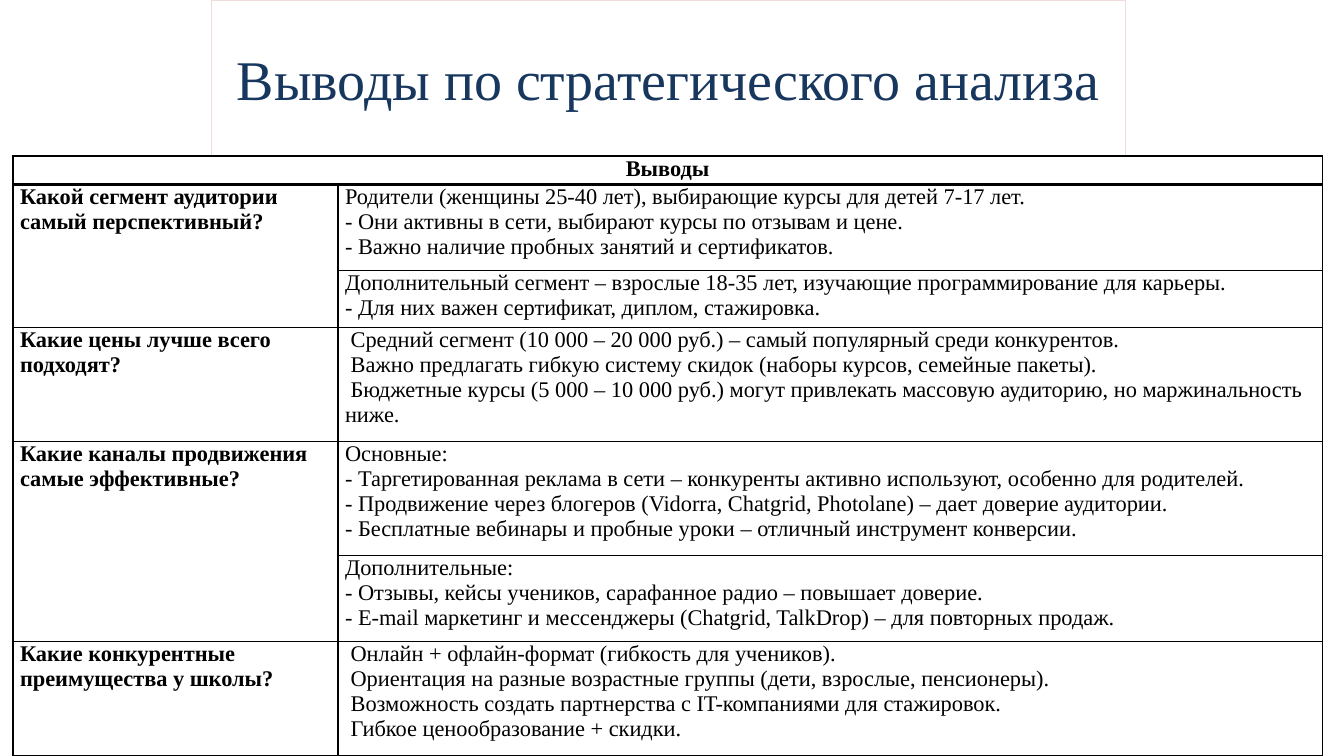
from copy import deepcopy
from dataclasses import dataclass
from itertools import accumulate
from typing import Optional

from lxml.etree import SubElement
from pptx import Presentation
from pptx.dml.color import RGBColor
from pptx.enum.shapes import MSO_SHAPE
from pptx.enum.text import MSO_ANCHOR, PP_ALIGN
from pptx.oxml.ns import qn
from pptx.slide import Slide
from pptx.table import Table, _Cell
from pptx.text.text import TextFrame
from pptx.util import Pt


@dataclass(frozen=True)
class Theme:
    font: str = "Times New Roman"
    title_size: float = 40
    body_size: float = 16
    title_color: str = "17375E"
    ink: str = "000000"
    paper: str = "FFFFFF"
    title_border: str = "F2DCDB"
    rule: float = 1
    header_rule: float = 2


@dataclass(frozen=True)
class Answer:
    text: str
    lines: int


@dataclass(frozen=True)
class Conclusion:
    question: str
    answers: tuple[Answer, ...]


THEME = Theme()
LINE_HEIGHT = 20.4
TABLE_LEFT, TABLE_TOP = 9.3, 111.5
COLUMN_WIDTHS = (232.2, 703)

CONCLUSIONS = (
    Conclusion("Какой сегмент аудитории самый перспективный?", (
        Answer("Родители (женщины 25-40 лет), выбирающие курсы для детей 7-17 лет.\n"
               "- Они активны в сети, выбирают курсы по отзывам и цене.\n"
               "- Важно наличие пробных занятий и сертификатов.", 3),
        Answer("Дополнительный сегмент – взрослые 18-35 лет, изучающие программирование для карьеры.\n"
               "- Для них важен сертификат, диплом, стажировка.", 2),
    )),
    Conclusion("Какие цены лучше всего подходят?", (
        Answer(" Средний сегмент (10 000 – 20 000 руб.) – самый популярный среди конкурентов.\n"
               " Важно предлагать гибкую систему скидок (наборы курсов, семейные пакеты).\n"
               " Бюджетные курсы (5 000 – 10 000 руб.) могут привлекать массовую аудиторию, "
               "но маржинальность ниже.", 4),
    )),
    Conclusion("Какие каналы продвижения самые эффективные?", (
        Answer("Основные:\n"
               "- Таргетированная реклама в сети – конкуренты активно используют, особенно для родителей.\n"
               "- Продвижение через блогеров (Vidorra, Chatgrid, Photolane) – дает доверие аудитории.\n"
               "- Бесплатные вебинары и пробные уроки – отличный инструмент конверсии.", 4),
        Answer("Дополнительные:\n"
               "- Отзывы, кейсы учеников, сарафанное радио – повышает доверие.\n"
               "- E-mail маркетинг и мессенджеры (Chatgrid, TalkDrop) – для повторных продаж.", 3),
    )),
    Conclusion("Какие конкурентные преимущества у школы?", (
        Answer(" Онлайн + офлайн-формат (гибкость для учеников).\n"
               " Ориентация на разные возрастные группы (дети, взрослые, пенсионеры).\n"
               " Возможность создать партнерства с IT-компаниями для стажировок.\n"
               " Гибкое ценообразование + скидки.", 4),
    )),
)


def write(frame: TextFrame, text: str, *, size: float = THEME.body_size,
          color: str = THEME.ink, bold: bool = False,
          align: Optional[PP_ALIGN] = PP_ALIGN.LEFT) -> None:
    paragraph = frame.paragraphs[0]
    paragraph.text = text
    paragraph.alignment = align
    for run in paragraph.runs:
        run.font.name = THEME.font
        run.font.size = Pt(size)
        run.font.bold = bold
        run.font.color.rgb = RGBColor.from_string(color)
    run_format = paragraph.runs[0]._r.find(qn("a:rPr"))
    for line_break in paragraph._p.findall(qn("a:br")):
        line_break.append(deepcopy(run_format))


def style_cell(cell: _Cell, top: float, bottom: float) -> None:
    cell.margin_left = cell.margin_right = Pt(5)
    cell.margin_top = cell.margin_bottom = Pt(0)
    cell.vertical_anchor = MSO_ANCHOR.TOP
    properties = cell._tc.get_or_add_tcPr()
    widths = {"L": THEME.rule, "R": THEME.rule, "T": top, "B": bottom}
    for side, width in widths.items():
        border = SubElement(properties, qn(f"a:ln{side}"), w=str(Pt(width)))
        ink = SubElement(border, qn("a:solidFill"))
        SubElement(ink, qn("a:srgbClr"), val=THEME.ink)
    cell.fill.solid()
    cell.fill.fore_color.rgb = RGBColor.from_string(THEME.paper)


def add_title(slide: Slide, text: str) -> None:
    title = slide.shapes.add_shape(
        MSO_SHAPE.DOWN_ARROW_CALLOUT, Pt(151.2), Pt(0), Pt(652.3), Pt(111.6))
    title.adjustments[2] = 0
    title.adjustments[3] = 1
    title.shadow.inherit = False
    title.fill.solid()
    title.fill.fore_color.rgb = RGBColor.from_string(THEME.paper)
    title.line.color.rgb = RGBColor.from_string(THEME.title_border)
    title.line.width = Pt(0.25)
    title.text_frame.word_wrap = True
    title.text_frame.vertical_anchor = MSO_ANCHOR.MIDDLE
    write(title.text_frame, text, size=THEME.title_size,
          color=THEME.title_color, align=PP_ALIGN.CENTER)


def add_grid(slide: Slide, line_counts: list[int]) -> Table:
    grid = slide.shapes.add_table(
        len(line_counts), len(COLUMN_WIDTHS), Pt(TABLE_LEFT), Pt(TABLE_TOP),
        Pt(sum(COLUMN_WIDTHS)), Pt(sum(line_counts) * LINE_HEIGHT)).table
    grid.first_row = grid.horz_banding = False
    for column, width in zip(grid.columns, COLUMN_WIDTHS):
        column.width = Pt(width)
    for index, (row, lines) in enumerate(zip(grid.rows, line_counts)):
        row.height = Pt(lines * LINE_HEIGHT)
        for cell in row.cells:
            style_cell(cell,
                       top=THEME.header_rule if index == 1 else THEME.rule,
                       bottom=THEME.header_rule if index == 0 else THEME.rule)
    return grid


def add_conclusions(slide: Slide, heading: str, conclusions: tuple[Conclusion, ...]) -> None:
    line_counts = [1] + [answer.lines for item in conclusions for answer in item.answers]
    grid = add_grid(slide, line_counts)
    header = grid.cell(0, 0)
    header.merge(grid.cell(0, 1))
    write(header.text_frame, heading, bold=True, align=PP_ALIGN.CENTER)
    first_rows = accumulate((len(item.answers) for item in conclusions), initial=1)
    for first_row, item in zip(first_rows, conclusions):
        question = grid.cell(first_row, 0)
        if len(item.answers) > 1:
            question.merge(grid.cell(first_row + len(item.answers) - 1, 0))
        write(question.text_frame, item.question, bold=True)
        for row, answer in enumerate(item.answers, first_row):
            write(grid.cell(row, 1).text_frame, answer.text)


def main() -> None:
    deck = Presentation()
    deck.slide_width, deck.slide_height = Pt(960), Pt(540)
    slide = deck.slides.add_slide(deck.slide_layouts[6])
    add_title(slide, "Выводы по стратегического анализа")
    add_conclusions(slide, "Выводы", CONCLUSIONS)
    deck.save("out.pptx")


if __name__ == "__main__":
    main()
